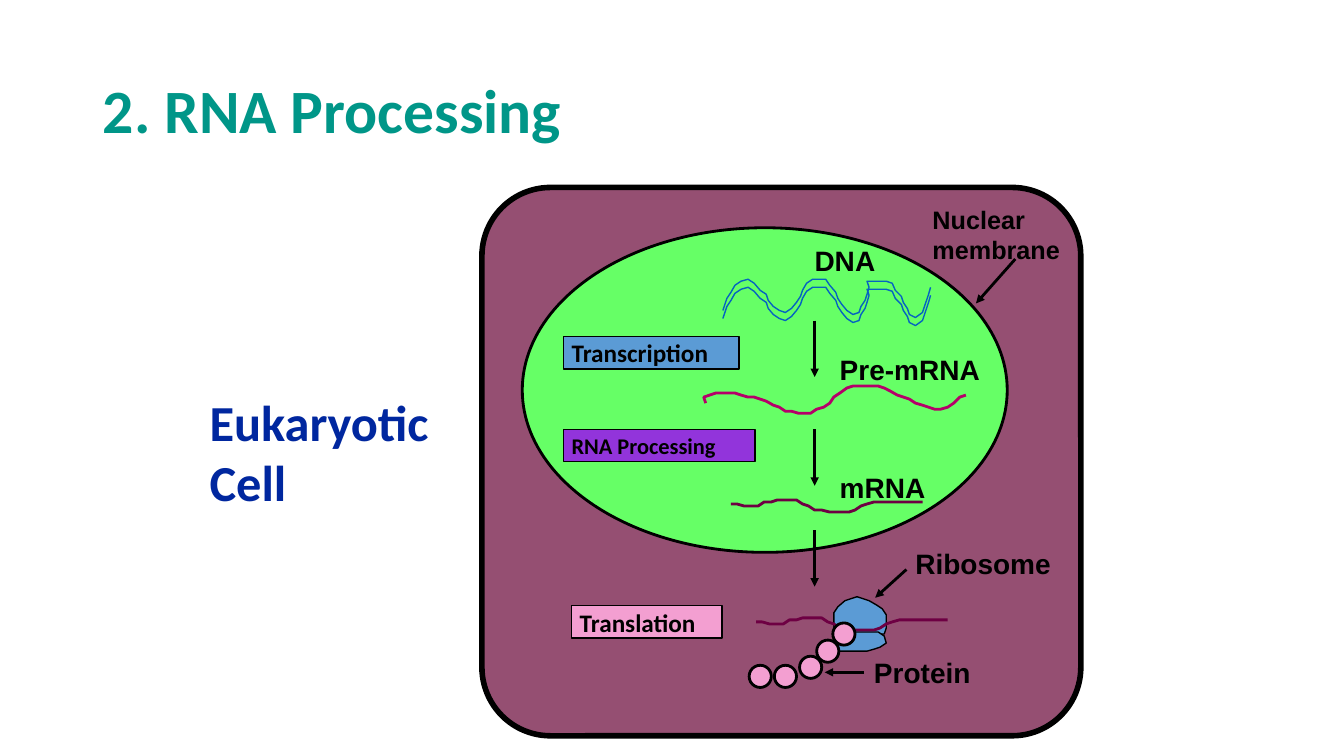
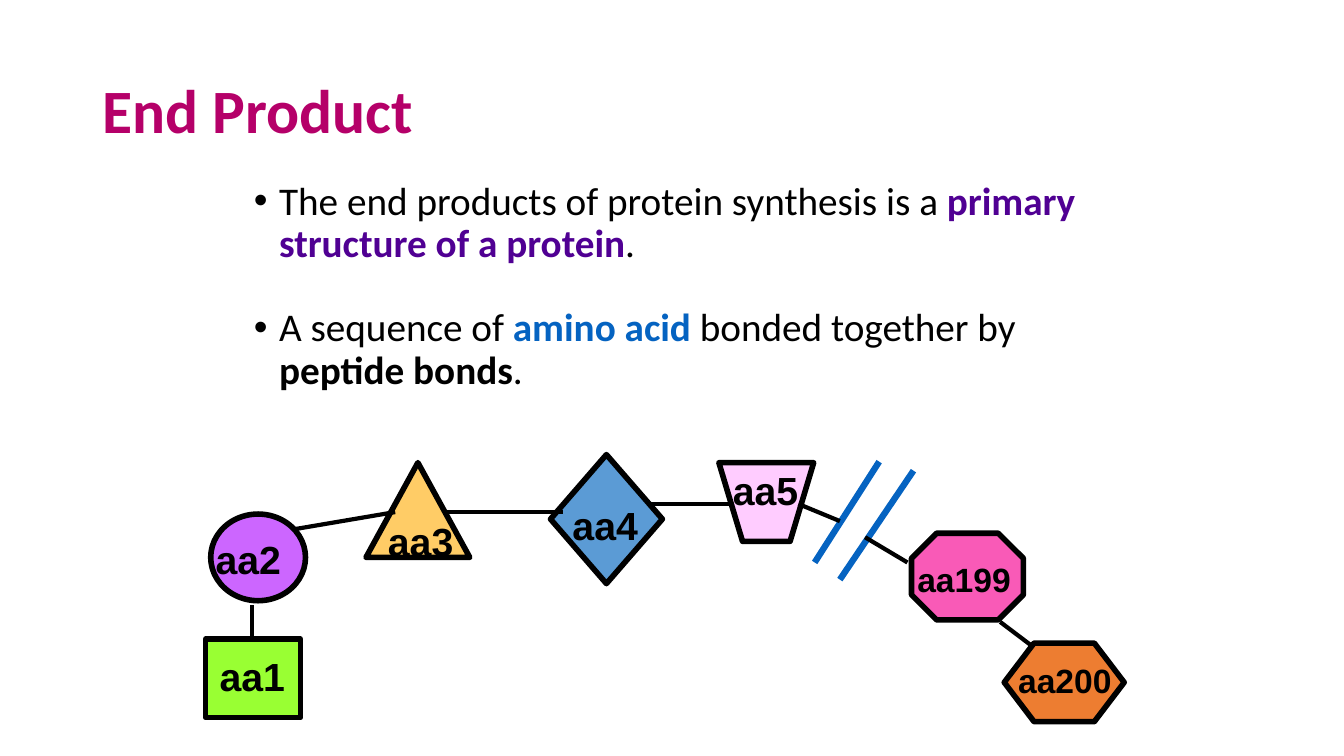
"""Build two slides on RNA processing and the end product of protein synthesis."""
from dataclasses import dataclass

import lxml.etree
import pptx
import pptx.dml.color
import pptx.enum.shapes
import pptx.enum.text
import pptx.oxml.ns
import pptx.shapes.autoshape
import pptx.shapes.base
import pptx.slide
import pptx.text.text
import pptx.util

Inches = pptx.util.Inches
Pt = pptx.util.Pt
RGBColor = pptx.dml.color.RGBColor
Kind = pptx.enum.shapes.MSO_SHAPE
Slide = pptx.slide.Slide
Point = tuple[float, float]
Box = tuple[float, float, float, float]

BLACK = RGBColor(0x00, 0x00, 0x00)
TEAL = RGBColor(0x00, 0x96, 0x88)
NAVY = RGBColor(0x00, 0x27, 0x9F)
MAGENTA = RGBColor(0xB5, 0x00, 0x69)
MAROON = RGBColor(0x6E, 0x00, 0x43)
PLUM = RGBColor(0x95, 0x4F, 0x72)
GREEN = RGBColor(0x66, 0xFF, 0x66)
LIME = RGBColor(0x99, 0xFF, 0x33)
BLUE = RGBColor(0x5B, 0x9B, 0xD5)
LINK_BLUE = RGBColor(0x05, 0x63, 0xC1)
PURPLE = RGBColor(0x92, 0x34, 0xDB)
DEEP_PURPLE = RGBColor(0x50, 0x00, 0x93)
VIOLET = RGBColor(0xCC, 0x66, 0xFF)
PINK = RGBColor(0xF3, 0x9F, 0xD1)
PALE_PINK = RGBColor(0xFF, 0xCC, 0xFF)
HOT_PINK = RGBColor(0xF9, 0x5A, 0xB7)
SAND = RGBColor(0xFF, 0xCC, 0x66)
ORANGE = RGBColor(0xED, 0x7D, 0x31)
HEADING_FONT = "Calibri"
LABEL_FONT = "Arial"

DNA_STRAND: list[Point] = [
    (7.17, 3.08), (7.19, 3.02), (7.21, 2.96), (7.25, 2.9), (7.29, 2.83), (7.35, 2.79), (7.42, 2.77),
    (7.48, 2.81), (7.54, 2.88), (7.6, 2.92), (7.62, 2.98), (7.67, 3.04), (7.73, 3.08), (7.79, 3.1),
    (7.85, 3.06), (7.9, 3), (7.94, 2.94), (7.96, 2.88), (8, 2.81), (8.06, 2.77), (8.19, 2.77),
    (8.23, 2.83), (8.29, 2.9), (8.31, 2.96), (8.35, 3.02), (8.4, 3.08), (8.46, 3.12), (8.52, 3.1),
    (8.54, 3.04), (8.58, 2.98), (8.6, 2.92), (8.62, 2.85), (8.6, 2.79), (8.79, 2.79), (8.85, 2.81),
    (8.88, 2.88), (8.94, 2.94), (8.96, 3), (9, 3.06), (9.02, 3.12), (9.08, 3.15), (9.15, 3.1),
    (9.17, 3.04), (9.19, 2.98), (9.21, 2.92), (9.23, 2.85),
]
PRE_MRNA_STRAND: list[Point] = [
    (7, 4), (6.98, 3.94), (7.04, 3.92), (7.1, 3.9), (7.29, 3.9), (7.35, 3.92), (7.42, 3.94),
    (7.48, 3.94), (7.54, 3.96), (7.6, 3.98), (7.67, 4.02), (7.73, 4.04), (7.79, 4.08), (7.85, 4.08),
    (7.92, 4.1), (8.04, 4.1), (8.1, 4.06), (8.17, 4.04), (8.23, 4), (8.27, 3.94), (8.33, 3.9),
    (8.4, 3.85), (8.46, 3.83), (8.71, 3.83), (8.77, 3.85), (8.83, 3.88), (8.9, 3.92), (8.96, 3.94),
    (9.02, 3.96), (9.08, 4), (9.15, 4.02), (9.21, 4.04), (9.27, 4.06), (9.33, 4.06), (9.4, 4.04),
    (9.46, 4), (9.52, 3.94), (9.58, 3.92),
]
MRNA_STRAND: list[Point] = [
    (7.25, 5), (7.31, 5), (7.38, 5.02), (7.52, 5.02), (7.58, 4.98), (7.65, 4.98), (7.71, 4.96),
    (7.9, 4.96), (7.96, 5), (8.02, 5.02), (8.08, 5.06), (8.15, 5.06), (8.23, 5.08), (8.42, 5.08),
    (8.48, 5.06), (8.54, 5.02), (8.6, 5), (8.67, 4.98), (9.15, 4.98),
]
RIBOSOME_TOP: list[Point] = [
    (8.33, 6.25), (8.4, 6.29), (8.77, 6.29), (8.79, 6.23), (8.79, 6.1), (8.75, 6.04), (8.69, 6),
    (8.62, 5.96), (8.56, 5.94), (8.5, 5.92), (8.44, 5.94), (8.38, 5.96), (8.31, 6.02), (8.27, 6.08),
    (8.27, 6.21), (8.29, 6.27), (8.35, 6.29), (8.42, 6.29), (8.33, 6.25),
]
RIBOSOME_BOTTOM: list[Point] = [
    (8.33, 6.25), (8.4, 6.27), (8.71, 6.27), (8.77, 6.31), (8.79, 6.38), (8.73, 6.42), (8.67, 6.44),
    (8.6, 6.46), (8.29, 6.46), (8.25, 6.4), (8.27, 6.33), (8.33, 6.29), (8.33, 6.25),
]


@dataclass(frozen=True)
class Step:
    name: str
    box: Box
    fill: RGBColor
    size: int = 18


@dataclass(frozen=True)
class Label:
    text: str
    box: Box
    size: int = 20


@dataclass(frozen=True)
class AminoAcid:
    kind: Kind
    box: Box
    fill: RGBColor
    label: Label
    adjustment: float | None = None
    rotation: int = 0


@dataclass(frozen=True)
class Phrase:
    text: str
    color: RGBColor = BLACK
    bold: bool = False


STEPS = [
    Step("Transcription", (5.59, 3.34, 1.74, 0.32), BLUE),
    Step("RNA Processing", (5.59, 4.26, 1.9, 0.32), PURPLE, 16),
    Step("Translation", (5.67, 6.01, 1.49, 0.32), PINK),
]
CELL_LABELS = [
    Label("Nuclear\nmembrane", (9.15, 1.98, 1.48, 0.7), 18),
    Label("DNA", (7.98, 2.37, 0.81, 0.43)),
    Label("Pre-mRNA", (8.23, 3.45, 1.6, 0.43)),
    Label("mRNA", (8.23, 4.62, 1.06, 0.43)),
    Label("Ribosome", (8.98, 5.37, 1.56, 0.43)),
    Label("Protein", (8.57, 6.45, 1.16, 0.43)),
]
FLOW_X, FLOW_LENGTH = 8.08, 0.56
FLOW_TOPS = [3.18, 4.26, 5.26]
POINTERS = [((10.07, 2.57), (9.68, 3.01)), ((8.57, 6.67), (8.18, 6.67)), ((8.99, 5.65), (8.68, 5.93))]
PROTEIN_BEADS = [(7.43, 6.6), (7.68, 6.6), (7.93, 6.51), (8.1, 6.35), (8.26, 6.18)]
BEAD_SIZE = 0.22

AMINO_ACIDS = [
    AminoAcid(Kind.RECTANGLE, (2.04, 6.34, 0.94, 0.78), LIME, Label("aa1", (2.08, 6.42, 0.86, 0.57), 28)),
    AminoAcid(Kind.OVAL, (2.09, 5.1, 0.94, 0.86), VIOLET, Label("aa2", (2.04, 5.26, 0.86, 0.57), 28)),
    AminoAcid(Kind.ISOSCELES_TRIANGLE, (3.63, 4.59, 1.03, 0.94), SAND,
              Label("aa3", (3.75, 5.08, 0.86, 0.57), 28)),
    AminoAcid(Kind.DIAMOND, (5.46, 4.51, 1.11, 1.28), BLUE, Label("aa4", (5.58, 4.92, 0.86, 0.57), 28)),
    AminoAcid(Kind.TRAPEZOID, (7.13, 4.59, 0.94, 0.78), PALE_PINK,
              Label("aa5", (7.17, 4.58, 0.86, 0.57), 28), 0.3, 180),
    AminoAcid(Kind.HEXAGON, (9.96, 6.38, 1.19, 0.78), ORANGE,
              Label("aa200", (10, 6.5, 1.14, 0.5), 24), 0.38),
    AminoAcid(Kind.OCTAGON, (9.04, 5.29, 1.11, 0.86), HOT_PINK,
              Label("aa199", (9, 5.5, 1.14, 0.5), 24), 0.29),
]
CHAIN_BREAKS = [((8.72, 4.58), (8.08, 5.58)), ((9.06, 4.67), (8.33, 5.75))]
PEPTIDE_BONDS = [
    ((2.5, 6.33), (2.5, 6)), ((2.92, 5.25), (3.92, 5.08)), ((4.42, 5.08), (5.58, 5.08)),
    ((6.42, 5), (7.25, 5)), ((7.92, 5), (8.33, 5.17)), ((8.58, 5.33), (9, 5.58)),
    ((9.92, 6.17), (10.25, 6.42)),
]
SUMMARY = [
    [Phrase("The end products of protein synthesis is a "),
     Phrase("primary structure of a protein", DEEP_PURPLE, True), Phrase(".")],
    [Phrase("A sequence of "), Phrase("amino acid ", LINK_BLUE, True),
     Phrase("bonded together by "), Phrase("peptide bonds", bold=True), Phrase(".")],
]


def style_font(font: pptx.text.text.Font, face: str, size: int, color: RGBColor, bold: bool = True) -> None:
    font.name, font.size, font.bold = face, Pt(size), bold
    font.color.rgb = color


def style_text(frame: pptx.text.text.TextFrame, text: str, face: str, size: int, color: RGBColor = BLACK) -> None:
    frame.text = text
    for paragraph in frame.paragraphs:
        paragraph.alignment = pptx.enum.text.PP_ALIGN.LEFT
        for run in paragraph.runs:
            style_font(run.font, face, size, color)


def place(shape: pptx.shapes.base.BaseShape, box: Box) -> None:
    shape.left, shape.top, shape.width, shape.height = (Inches(length) for length in box)


def add_titled_slide(deck: pptx.presentation.Presentation, title: str, color: RGBColor) -> Slide:
    slide = deck.slides.add_slide(deck.slide_layouts[5])
    heading = slide.shapes.title
    place(heading, (0.92, 0.4, 11.5, 1.45))
    style_text(heading.text_frame, title, HEADING_FONT, 44, color)
    heading.text_frame.vertical_anchor = pptx.enum.text.MSO_ANCHOR.MIDDLE
    heading.text_frame.paragraphs[0].line_spacing = 0.9
    return slide


def paint(shape: pptx.shapes.autoshape.Shape, fill: RGBColor | None, line: RGBColor, width: float) -> None:
    shape.shadow.inherit = False
    if fill is None:
        shape.fill.background()
    else:
        shape.fill.solid()
        shape.fill.fore_color.rgb = fill
    shape.line.color.rgb = line
    shape.line.width = Pt(width)


def add_figure(slide: Slide, kind: Kind, box: Box, fill: RGBColor, width: float) -> pptx.shapes.autoshape.Shape:
    figure = slide.shapes.add_shape(kind, *(Inches(length) for length in box))
    paint(figure, fill, BLACK, width)
    return figure


def add_outline(slide: Slide, points: list[Point], line: RGBColor, width: float,
                fill: RGBColor | None = None, shift: Point = (0, 0)) -> None:
    corners = [(Inches(x + shift[0]), Inches(y + shift[1])) for x, y in points]
    builder = slide.shapes.build_freeform(*corners[0])
    builder.add_line_segments(corners[1:], close=fill is not None)
    paint(builder.convert_to_shape(), fill, line, width)


def add_line(slide: Slide, start: Point, end: Point, color: RGBColor, width: float, arrow: bool = False) -> None:
    line = slide.shapes.add_connector(
        pptx.enum.shapes.MSO_CONNECTOR.STRAIGHT, *(Inches(length) for length in start + end))
    line.line.color.rgb = color
    line.line.width = Pt(width)
    qn = pptx.oxml.ns.qn
    if arrow:
        lxml.etree.SubElement(line.get_or_add_ln(), qn("a:tailEnd"), type="triangle")
    lxml.etree.SubElement(line.element.spPr, qn("a:effectLst"))


def add_label(slide: Slide, label: Label, face: str = LABEL_FONT, color: RGBColor = BLACK, wrap: bool = False) -> None:
    frame = slide.shapes.add_textbox(*(Inches(length) for length in label.box)).text_frame
    frame.word_wrap = wrap
    frame.auto_size = pptx.enum.text.MSO_AUTO_SIZE.SHAPE_TO_FIT_TEXT
    style_text(frame, label.text, face, label.size, color)


def add_step(slide: Slide, step: Step) -> None:
    frame = add_figure(slide, Kind.RECTANGLE, step.box, step.fill, 1).text_frame
    frame.word_wrap = False
    frame.margin_left = Inches(0.08)
    frame.margin_top = frame.margin_bottom = Inches(0)
    frame.vertical_anchor = pptx.enum.text.MSO_ANCHOR.MIDDLE
    style_text(frame, step.name, HEADING_FONT, step.size)


def add_summary(slide: Slide) -> None:
    frame = slide.shapes.add_textbox(Inches(2.42), Inches(1.75), Inches(8.5), Inches(2.4)).text_frame
    frame.word_wrap = True
    qn = pptx.oxml.ns.qn
    for index, phrases in enumerate(SUMMARY):
        paragraph = frame.add_paragraph() if index else frame.paragraphs[0]
        properties = paragraph._p.get_or_add_pPr()
        properties.set("marL", str(Inches(0.25)))
        properties.set("indent", str(Inches(-0.25)))
        lxml.etree.SubElement(properties, qn("a:buFont"), typeface=LABEL_FONT)
        lxml.etree.SubElement(properties, qn("a:buChar"), char="•")
        paragraph.line_spacing = 0.9
        if index:
            paragraph.space_before = Pt(30)
        for phrase in phrases:
            run = paragraph.add_run()
            run.text = phrase.text
            style_font(run.font, HEADING_FONT, 28, phrase.color, phrase.bold)


def build_rna_processing(deck: pptx.presentation.Presentation) -> None:
    slide = add_titled_slide(deck, "2. RNA Processing", TEAL)
    cell = add_figure(slide, Kind.ROUNDED_RECTANGLE, (4.78, 1.86, 5.94, 5.44), PLUM, 4)
    cell.adjustments[0] = 0.125
    add_figure(slide, Kind.OVAL, (5.18, 2.26, 4.81, 3.22), GREEN, 2)
    for step in STEPS:
        add_step(slide, step)
    for drop in (0, 0.08):
        add_outline(slide, DNA_STRAND, LINK_BLUE, 1, shift=(0, drop))
    add_outline(slide, PRE_MRNA_STRAND, MAGENTA, 2)
    add_outline(slide, MRNA_STRAND, MAROON, 2)
    for half in (RIBOSOME_TOP, RIBOSOME_BOTTOM):
        add_outline(slide, half, BLACK, 1, BLUE)
    add_outline(slide, MRNA_STRAND, MAROON, 2, shift=(0.25, 1.17))
    for left, top in PROTEIN_BEADS:
        add_figure(slide, Kind.OVAL, (left, top, BEAD_SIZE, BEAD_SIZE), PINK, 2)
    flow = [((FLOW_X, top), (FLOW_X, top + FLOW_LENGTH)) for top in FLOW_TOPS]
    for start, end in flow + POINTERS:
        add_line(slide, start, end, BLACK, 2, arrow=True)
    for label in CELL_LABELS:
        add_label(slide, label)
    add_label(slide, Label("Eukaryotic Cell", (1.98, 3.83, 2.93, 1.3), 36), HEADING_FONT, NAVY, wrap=True)


def build_end_product(deck: pptx.presentation.Presentation) -> None:
    slide = add_titled_slide(deck, "End Product", MAGENTA)
    add_summary(slide)
    for acid in AMINO_ACIDS:
        residue = add_figure(slide, acid.kind, acid.box, acid.fill, 4)
        residue.rotation = acid.rotation
        if acid.adjustment is not None:
            residue.adjustments[0] = acid.adjustment
        add_label(slide, acid.label)
    for start, end in CHAIN_BREAKS:
        add_line(slide, start, end, LINK_BLUE, 4.5)
    for start, end in PEPTIDE_BONDS:
        add_line(slide, start, end, BLACK, 3)


def main() -> None:
    deck = pptx.Presentation()
    deck.slide_width, deck.slide_height = Inches(13.33), Inches(7.5)
    build_rna_processing(deck)
    build_end_product(deck)
    deck.save("out.pptx")


if __name__ == "__main__":
    main()
